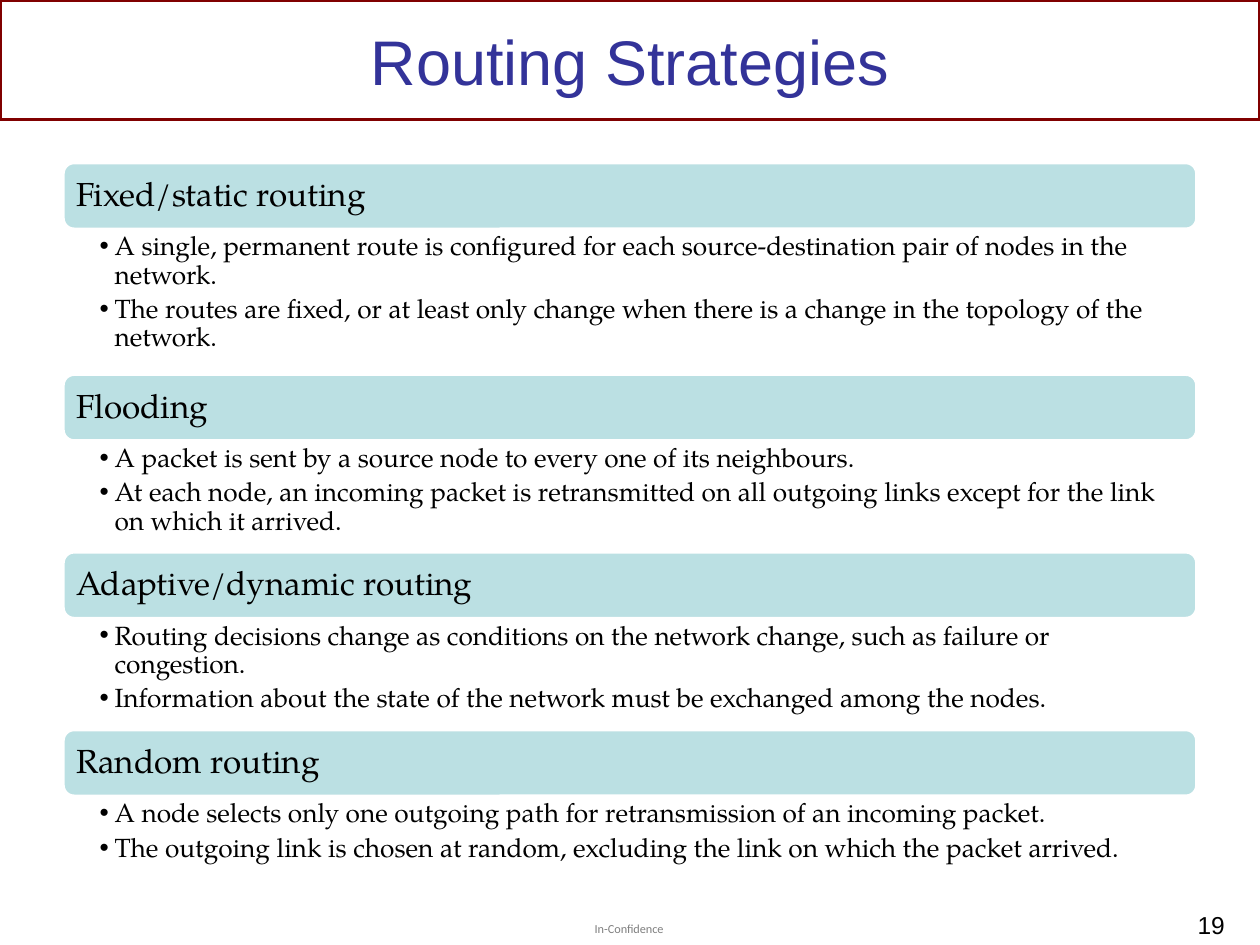
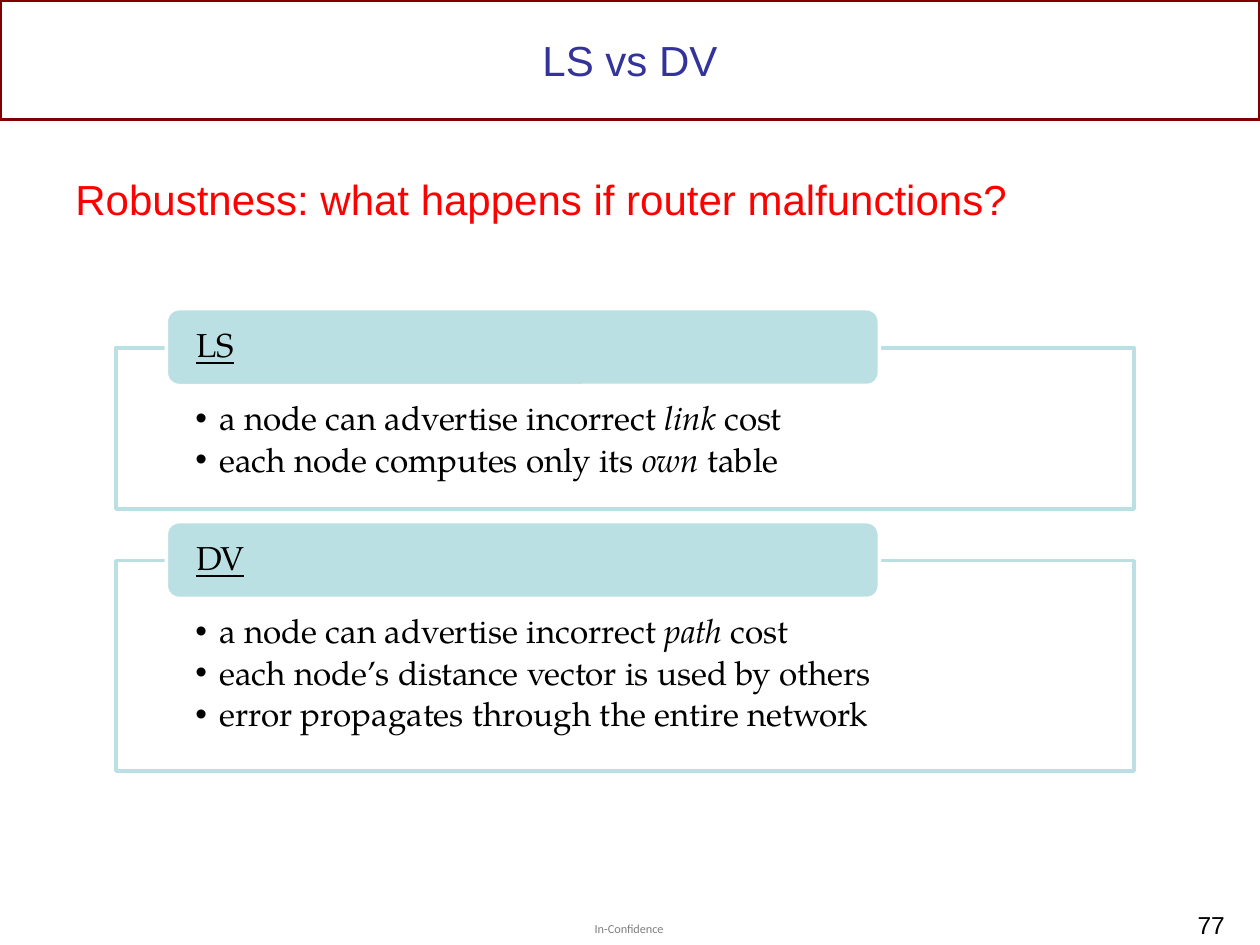
from lxml.etree import SubElement
from pptx import Presentation
from pptx.dml.color import RGBColor
from pptx.enum.shapes import MSO_SHAPE
from pptx.enum.text import MSO_ANCHOR, PP_ALIGN
from pptx.oxml.ns import qn
from pptx.util import Inches, Pt

COLS, ROWS = 100, 75  # grid of 0.1 inch cells


def paint(color, hue):
    color.rgb = RGBColor.from_string(hue)


class Deck:
    wine, navy, aqua, red = "800000", "333399", "BBE0E3", "FF0000"
    white, black, gray = "FFFFFF", "000000", "7F7F7F"
    sans, serif, small = "Arial", "TeX Gyre Pagella", "Calibri"

    def __init__(self):
        self.prs = Presentation()
        self.prs.slide_width, self.prs.slide_height = Inches(10), Inches(7.5)
        self.slide = None

    def place(self, x, y, w, h):
        wide, high = self.prs.slide_width / COLS, self.prs.slide_height / ROWS
        return [int(n) for n in (x * wide, y * high, w * wide, h * high)]

    # Text: words between asterisks are italic
    def letter(self, shape, lines, size, hue, font, inset=(0.1, 0.05, 0.1, 0.05),
               align=PP_ALIGN.LEFT, anchor=MSO_ANCHOR.TOP, wrap=True,
               lead=None, after=0, hang=0, under=None):
        frame = shape.text_frame
        frame.word_wrap, frame.vertical_anchor = wrap, anchor
        (frame.margin_left, frame.margin_top,
         frame.margin_right, frame.margin_bottom) = [Inches(n) for n in inset]
        for i, line in enumerate(lines):
            para = frame.add_paragraph() if i else frame.paragraphs[0]
            para.alignment, para.line_spacing = align, lead
            para.space_after = Pt(after)
            if hang:
                props = para._p.get_or_add_pPr()
                props.set("marL", str(Inches(hang)))
                props.set("indent", str(-Inches(hang)))
                SubElement(props, qn("a:buFont"), typeface=self.sans)
                SubElement(props, qn("a:buChar"), char="•")
            for j, part in enumerate(line.split("*")):
                run = para.add_run()
                run.text = part
                if j % 2:
                    run.font.italic = True
            para.font.size, para.font.name = Pt(size), font
            para.font.underline = under
            paint(para.font.color, hue)

    def text(self, spot, lines, size, hue, font, **style):
        box = self.slide.shapes.add_textbox(*self.place(*spot))
        self.letter(box, lines, size, hue, font, **style)

    def box(self, spot, fill, line, kind=MSO_SHAPE.RECTANGLE):
        shape = self.slide.shapes.add_shape(kind, *self.place(*spot))
        shape.shadow.inherit = False
        shape.fill.solid()
        paint(shape.fill.fore_color, fill)
        paint(shape.line.color, line)
        shape.line.width = Pt(2)
        return shape

    # Page frame: title band, footer and number
    def page(self, title, size, number):
        self.slide = self.prs.slides.add_slide(self.prs.slide_layouts[6])
        self.box((0, 0, COLS, 9.5), self.white, self.wine)
        self.text((5, 0.8, 90, 7.9), [title], size, self.navy, self.sans,
                  align=PP_ALIGN.CENTER, anchor=MSO_ANCHOR.MIDDLE)
        self.text((47.2, 73.1, 5.7, 1.2), ["In-Confidence"], 7, self.gray,
                  self.small, inset=(0, 0, 0, 0), wrap=False)
        self.text((76.2, 71.7, 22, 3), [str(number)], 14, self.black,
                  self.sans, align=PP_ALIGN.RIGHT)

    def head(self, spot, label, inset, under=None):
        bar = self.box(spot, self.aqua, self.white, MSO_SHAPE.ROUNDED_RECTANGLE)
        self.letter(bar, [label], 19, self.black, self.serif, inset=inset,
                    anchor=MSO_ANCHOR.MIDDLE, lead=0.9, under=under)

    def section(self, y, label, points, high):
        bar = 5.3
        self.head((5, y, 90, bar), label, (0.08,) * 4)
        self.text((5, y + bar, 90, high), points, 15, self.black, self.serif,
                  inset=(0.29, 0.03, 0.15, 0.03), lead=0.9, after=3.4, hang=0.12)
        return y + bar + high

    def panel(self, y, label, points, high):
        frame = self.box((9.2, y, 80.8, high), self.white, self.aqua)
        self.letter(frame, points, 19, self.black, self.serif,
                    inset=(0.63, 0.43, 0.63, 0.15), lead=0.9, after=3.2, hang=0.19)
        self.head((13.2, y - 3.1, 56.6, 6.1), label, (0.21, 0, 0.21, 0), True)
        return y + high + 4.1


def main():
    deck = Deck()

    # Routing strategies: stacked sections
    deck.page("Routing Strategies", 36, 19)
    y = 12.9
    for label, high, points in (
        ("Fixed/static routing", 11.5, (
            "A single, permanent route is configured for each source-destination pair of nodes in the network.",
            "The routes are fixed, or at least only change when there is a change in the topology of the network.")),
        ("Flooding", 8.8, (
            "A packet is sent by a source node to every one of its neighbours.",
            "At each node, an incoming packet is retransmitted on all outgoing links except for the link on which it arrived.")),
        ("Adaptive/dynamic routing", 8.8, (
            "Routing decisions change as conditions on the network change, such as failure or congestion.",
            "Information about the state of the network must be exchanged among the nodes.")),
        ("Random routing", 6.2, (
            "A node selects only one outgoing path for retransmission of an incoming packet.",
            "The outgoing link is chosen at random, excluding the link on which the packet arrived.")),
    ):
        y = deck.section(y, label, points, high)

    # Link state against distance vector: framed panels
    deck.page("LS vs DV", 24, 77)
    deck.text((5, 13.3, 90, 7.9),
              ["Robustness: what happens if router malfunctions?"],
              24, deck.red, deck.sans)
    y = 27.6
    for label, high, points in (
        ("LS", 12.8, (
            "a node can advertise incorrect *link* cost",
            "each node computes only its *own* table")),
        ("DV", 16.7, (
            "a node can advertise incorrect *path* cost",
            "each node’s distance vector is used by others",
            "error propagates through the entire network")),
    ):
        y = deck.panel(y, label, points, high)

    deck.prs.save("out.pptx")


if __name__ == "__main__":
    main()
